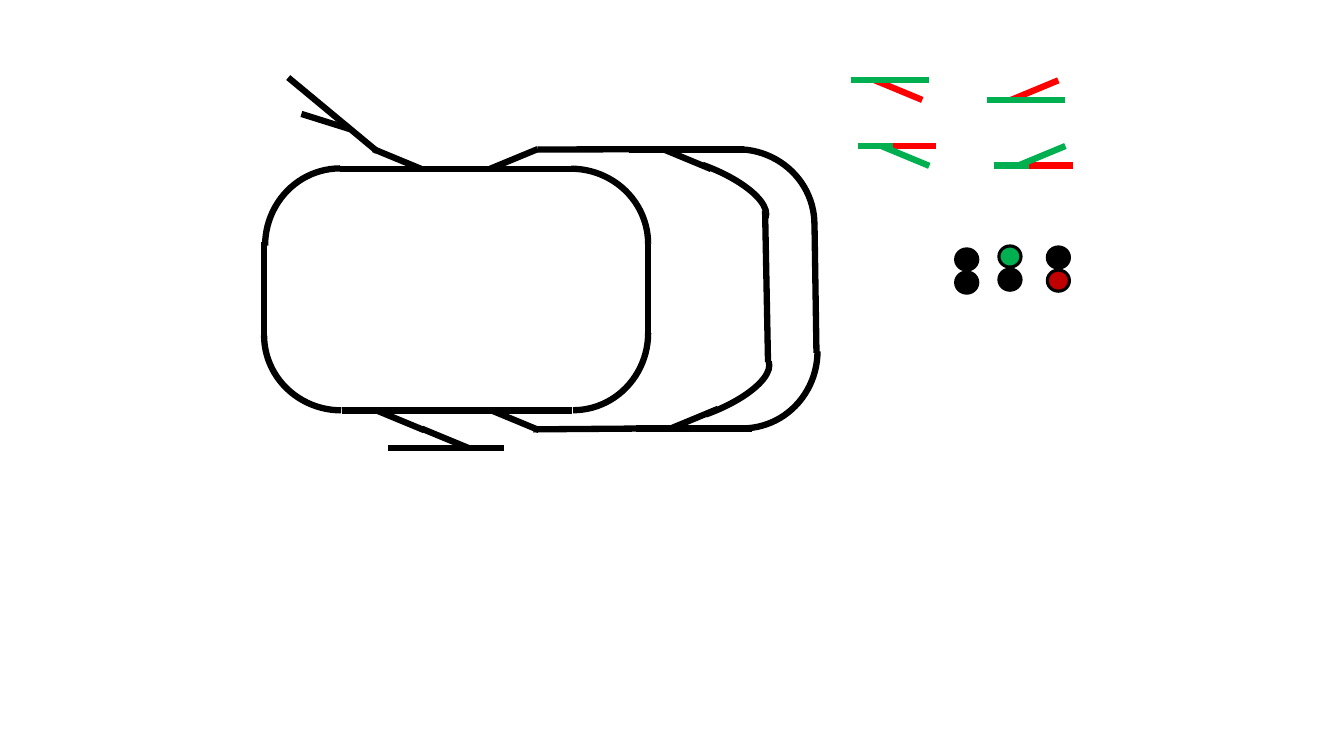
from dataclasses import dataclass

import pptx
import pptx.dml.color
import pptx.enum.shapes
import pptx.oxml
import pptx.shapes.autoshape
import pptx.util

COLOURS: dict[str, str] = {
    "track": "000000",
    "open": "00B050",
    "closed": "FF0000",
    "dark": "000000",
    "go": "00B050",
    "stop": "C00000",
}
TRACK_WIDTH = 4.5
BRANCH_RISE = 14
LAMP_WIDTH, LAMP_HEIGHT, LAMP_PITCH = 15.8, 15.1, 16.5


@dataclass(frozen=True)
class Rail:
    x1: float
    y1: float
    x2: float
    y2: float
    colour: str = "track"


@dataclass(frozen=True)
class Curve:
    left: float
    top: float
    rotation: float
    width: float = 110.2
    height: float = 107.3
    start: float = 270
    end: float = 0


@dataclass(frozen=True)
class Turnout:
    """A switch whose toe is at (x, y); across and down are +1 or -1."""
    x: float
    y: float
    across: int
    down: int


@dataclass(frozen=True)
class Signal:
    left: float
    top: float
    upper: str
    lower: str


RAILS = [
    Rail(188.6, 172.8, 188.6, 241.2),
    Rail(463, 174.2, 463, 242.6),
    Rail(383.8, 106.8, 471.6, 106.6),
    Rail(380.9, 306.7, 469.4, 306),
    Rail(583.2, 252, 581.8, 159.8),
    Rail(548.6, 258.5, 546.5, 150.5),
]
SLANTED_TURNOUT = [
    Rail(269.3, 108, 205.9, 55.4),
    Rail(249.8, 92.2, 215.3, 81.4),
]
CURVES = [
    Curve(352.8, 120.5, 0),
    Curve(188.6, 185.8, 180),
    Curve(354.2, 184.3, 90),
    Curve(187.9, 121.7, 270),
    Curve(471.6, 106.6, 0),
    Curve(475.2, 197.3, 90),
    Curve(439.9, 116.6, 19.7, height=41),
    Curve(442.1, 256.3, 340.3, height=41, start=0, end=90),
]
TRACK_TURNOUTS = [
    Turnout(325.4, 120.5, -1, -1),
    Turnout(325.4, 120.5, 1, -1),
    Turnout(244.1, 293.2, 1, 1),
    Turnout(326.2, 293.2, 1, 1),
    Turnout(360, 320.2, -1, -1),
    Turnout(454.3, 306, 1, -1),
    Turnout(449.3, 106.8, 1, 1),
]
STRAIGHT_INDICATORS = [Turnout(607.7, 57.4, 1, 1), Turnout(704.9, 71.4, 1, -1)]
DIVERGING_INDICATORS = [Turnout(612.7, 104.5, 1, 1), Turnout(709.9, 118.3, 1, -1)]
SIGNALS = [
    Signal(682.6, 177.8, "dark", "dark"),
    Signal(713.5, 175.7, "go", "dark"),
    Signal(748.1, 176.4, "dark", "stop"),
]


def rgb(name: str) -> pptx.dml.color.RGBColor:
    return pptx.dml.color.RGBColor.from_string(COLOURS[name])


def draw_rail(shapes, rail: Rail) -> None:
    ends = (pptx.util.Pt(value) for value in (rail.x1, rail.y1, rail.x2, rail.y2))
    connector = shapes.add_connector(pptx.enum.shapes.MSO_CONNECTOR.STRAIGHT, *ends)
    connector.line.color.rgb = rgb(rail.colour)
    connector.line.width = pptx.util.Pt(TRACK_WIDTH)
    properties = connector._element.spPr
    properties.append(pptx.oxml.parse_xml(
        '<a:effectLst xmlns:a="http://schemas.openxmlformats.org/drawingml/2006/main"/>'))


def draw_group(shapes, rails: list[Rail]) -> None:
    group = shapes.add_group_shape()
    for rail in rails:
        draw_rail(group.shapes, rail)


def straight_rail(turnout: Turnout, length: float, colour: str) -> Rail:
    end = turnout.x + turnout.across * length
    return Rail(turnout.x, turnout.y, end, turnout.y, colour)


def branch_rail(turnout: Turnout, offset: float, colour: str) -> Rail:
    start = turnout.x + turnout.across * offset
    end = start + turnout.across * 33.8
    return Rail(start, turnout.y, end, turnout.y + turnout.down * BRANCH_RISE, colour)


def draw_shape(shapes, kind: pptx.enum.shapes.MSO_SHAPE, left: float, top: float,
               width: float, height: float,
               line_width: float) -> pptx.shapes.autoshape.Shape:
    """Add a preset shape with a black outline and no shadow."""
    box = (pptx.util.Pt(value) for value in (left, top, width, height))
    shape = shapes.add_shape(kind, *box)
    shape.shadow.inherit = False
    shape.line.color.rgb = rgb("track")
    shape.line.width = pptx.util.Pt(line_width)
    return shape


def draw_curve(shapes, curve: Curve) -> None:
    arc = draw_shape(shapes, pptx.enum.shapes.MSO_SHAPE.ARC, curve.left, curve.top,
                     curve.width, curve.height, TRACK_WIDTH)
    arc.fill.background()
    arc.rotation = curve.rotation
    # One degree is 60000 angle units; adjustments count in 100000s.
    arc.adjustments[0] = curve.start * 0.6
    arc.adjustments[1] = curve.end * 0.6


def draw_signal(shapes, signal: Signal) -> None:
    for row, colour in enumerate((signal.upper, signal.lower)):
        lamp = draw_shape(shapes, pptx.enum.shapes.MSO_SHAPE.OVAL, signal.left,
                          signal.top + row * LAMP_PITCH, LAMP_WIDTH, LAMP_HEIGHT, 2.25)
        lamp.fill.solid()
        lamp.fill.fore_color.rgb = rgb(colour)


def main() -> None:
    presentation = pptx.Presentation()
    presentation.slide_width = pptx.util.Pt(960)
    presentation.slide_height = pptx.util.Pt(540)
    slide = presentation.slides.add_slide(presentation.slide_layouts[6])
    shapes = slide.shapes

    for curve in CURVES:
        draw_curve(shapes, curve)
    for rail in RAILS:
        draw_rail(shapes, rail)
    draw_group(shapes, SLANTED_TURNOUT)
    for turnout in TRACK_TURNOUTS:
        draw_group(shapes, [straight_rail(turnout, 82.5, "track"),
                            branch_rail(turnout, 24.9, "track")])
    for turnout in STRAIGHT_INDICATORS:
        draw_group(shapes, [branch_rail(turnout, 17.3, "closed"),
                            straight_rail(turnout, 56.2, "open")])
    for turnout in DIVERGING_INDICATORS:
        draw_group(shapes, [straight_rail(turnout, 56.2, "closed"),
                            branch_rail(turnout, 17.3, "open"),
                            straight_rail(turnout, 24.9, "open")])
    for signal in SIGNALS:
        draw_signal(shapes, signal)

    presentation.save("out.pptx")


if __name__ == "__main__":
    main()
